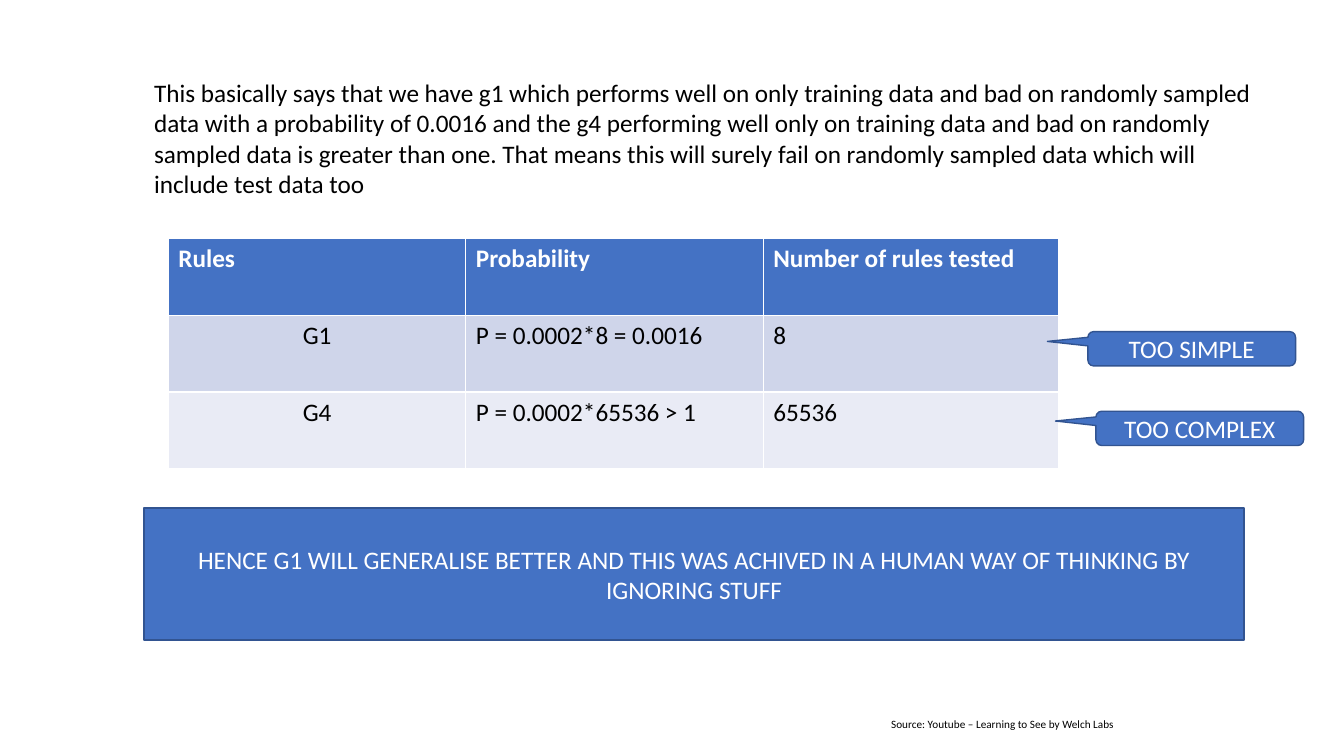
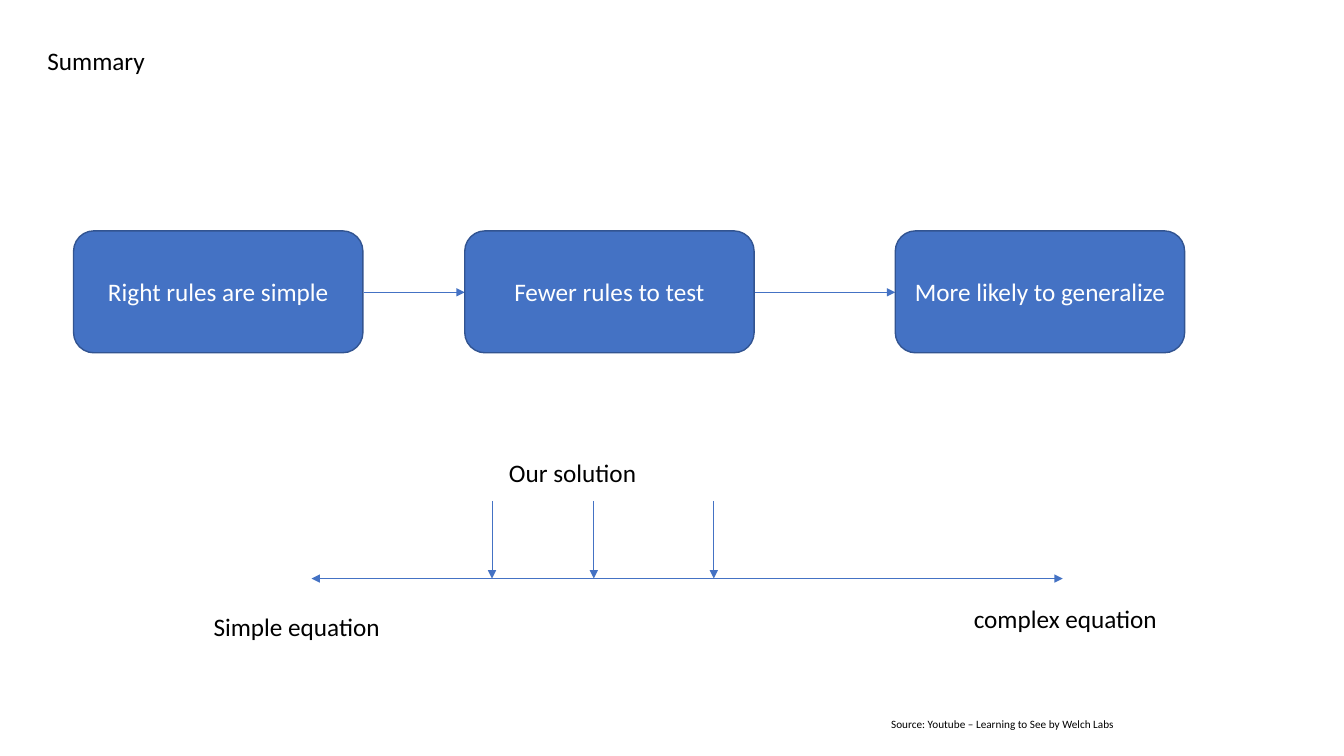
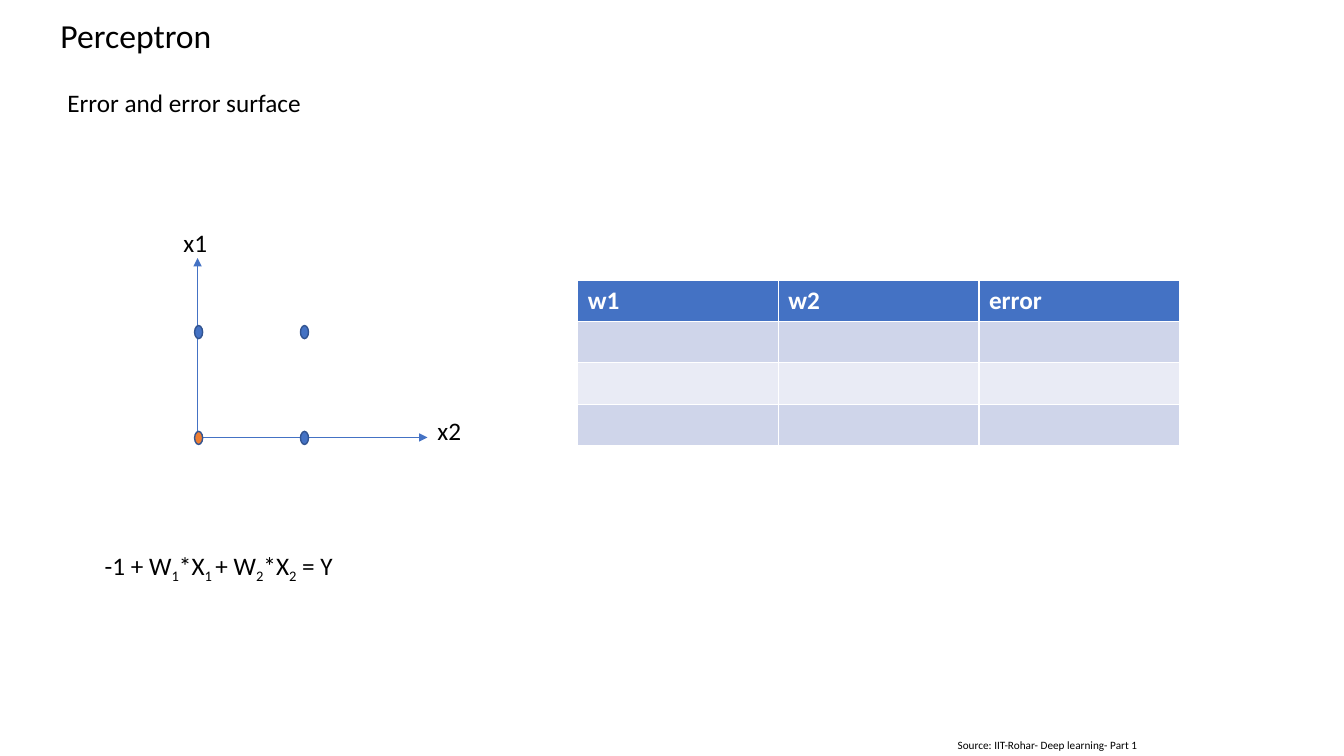
from pptx import Presentation
from pptx.dml.color import RGBColor
from pptx.enum.shapes import MSO_CONNECTOR, MSO_SHAPE
from pptx.enum.text import MSO_ANCHOR, MSO_AUTO_SIZE, PP_ALIGN
from pptx.oxml.ns import qn
from pptx.util import Inches, Pt
from lxml.etree import SubElement

BLUE = RGBColor(0x44, 0x72, 0xC4)
DARK_BLUE = RGBColor(0x32, 0x54, 0x91)
ORANGE = RGBColor(0xED, 0x7D, 0x31)
ROW_FILLS = [RGBColor(0xE9, 0xEB, 0xF5), RGBColor(0xCF, 0xD5, 0xEA)]
WHITE = RGBColor(0xFF, 0xFF, 0xFF)
BLACK = RGBColor(0x00, 0x00, 0x00)

FONT = "Calibri"
FRAME_FORMAT = {"word_wrap": True, "auto_size": MSO_AUTO_SIZE.NONE}
FONT_FORMAT = {"name": FONT, "size": Pt(18), "bold": False}


def write(frame, runs, color=BLACK, alignment=PP_ALIGN.LEFT, anchor=MSO_ANCHOR.TOP, **font_changes):
    for name, value in {**FRAME_FORMAT, "vertical_anchor": anchor}.items():
        setattr(frame, name, value)
    paragraph = frame.paragraphs[0]
    paragraph.alignment = alignment
    for position, text in enumerate(runs):
        run = paragraph.add_run()
        run.text = text
        for name, value in {**FONT_FORMAT, **font_changes}.items():
            setattr(run.font, name, value)
        run.font.color.rgb = color
        if position % 2:
            run._r.get_or_add_rPr().set("baseline", "-25000")


presentation = Presentation()
presentation.slide_width = Inches(13.33)
presentation.slide_height = Inches(7.5)
title_only, blank = presentation.slide_layouts[5], presentation.slide_layouts[6]
rules_slide = presentation.slides.add_slide(blank)
summary_slide = presentation.slides.add_slide(title_only)
perceptron_slide = presentation.slides.add_slide(title_only)

titles = [
    (summary_slide, "Summary", (0.37, 0.4, 5.15, 0.4), 18, 1),
    (perceptron_slide, "Perceptron", (0.5, 0.1, 10.81, 0.55), 24, 0.9),
]
for slide, text, box, size, line_spacing in titles:
    title = slide.shapes.title
    title.left, title.top, title.width, title.height = map(Inches, box)
    write(title.text_frame, [text], anchor=MSO_ANCHOR.MIDDLE, size=Pt(size))
    title.text_frame.paragraphs[0].line_spacing = line_spacing

video_source = "Source: Youtube – Learning to See by Welch Labs"
course_source = "Source: IIT-Rohar- Deep learning- Part 1"
explanation = (
    "This basically says that we have g1 which performs well on only training data and bad on "
    "randomly sampled data with a probability of 0.0016 and the g4 performing well only on training "
    "data and bad on randomly sampled data is greater than one. That means this will surely fail on "
    "randomly sampled data which will include test data too"
)
equation = ["-1 + W", "1", "*X", "1 ", "+ W", "2", "*X", "2", " = Y"]
texts = [
    (rules_slide, [video_source], (8.74, 7.07, 4.92, 0.24), 8),
    (rules_slide, [explanation], (1.43, 0.72, 11.24, 1.31), 18),
    (summary_slide, [video_source], (8.74, 7.07, 4.92, 0.24), 8),
    (summary_slide, ["Simple equation"], (2.02, 6.02, 2.04, 0.4), 18),
    (summary_slide, ["complex equation"], (9.56, 5.94, 2.04, 0.4), 18),
    (summary_slide, ["Our solution"], (4.95, 4.49, 2.04, 0.4), 18),
    (perceptron_slide, [course_source], (9.4, 7.28, 3.75, 0.24), 8),
    (perceptron_slide, ["Error and error surface"], (0.57, 0.82, 4.28, 0.4), 18),
    (perceptron_slide, ["x1"], (1.72, 2.21, 0.48, 0.4), 18),
    (perceptron_slide, ["x2"], (4.24, 4.07, 0.48, 0.4), 18),
    (perceptron_slide, equation, (0.94, 5.41, 3.9, 0.4), 18),
]
for slide, runs, box, size in texts:
    textbox = slide.shapes.add_textbox(*map(Inches, box))
    write(textbox.text_frame, runs, size=Pt(size))

rules_rows = [
    ["Rules", "Probability", "Number of rules tested"],
    ["G1", "P = 0.0002*8 = 0.0016", "8"],
    ["G4", "P = 0.0002*65536 > 1", "65536"],
]
error_rows = [["w1", "w2", "error"]] + [[""] * 3] * 3
tables = [
    (rules_slide, rules_rows, (1.67, 2.37), (2.95, 2.95, 2.93), 0.76),
    (perceptron_slide, error_rows, (5.73, 2.78), (1.99, 1.99, 1.99), 0.41),
]
for slide, rows, corner, widths, row_height in tables:
    size = sum(widths), row_height * len(rows)
    table = slide.shapes.add_table(len(rows), len(widths), *map(Inches, corner + size)).table
    for column, width in zip(table.columns, widths):
        column.width = Inches(width)
    for row_number, row in enumerate(rows):
        table.rows[row_number].height = Inches(row_height)
        is_header = row_number == 0
        for column_number, text in enumerate(row):
            cell = table.cell(row_number, column_number)
            cell.fill.solid()
            cell.fill.fore_color.rgb = BLUE if is_header else ROW_FILLS[row_number % 2]
            is_rule = column_number == 0 and not is_header
            write(
                cell.text_frame,
                [text] if text else [],
                WHITE if is_header else BLACK,
                PP_ALIGN.CENTER if is_rule else PP_ALIGN.LEFT,
                bold=is_header,
            )

axis_y = 5.74
origin = (1.96, 4.34)
arrows = [
    (summary_slide, (3.61, 2.9), (4.61, 2.9)),
    (summary_slide, (7.48, 2.9), (8.88, 2.9)),
    (summary_slide, (6.67, axis_y), (10.54, axis_y)),
    (summary_slide, (6.67, axis_y), (3.09, axis_y)),
    *[(summary_slide, (x, 4.97), (x, axis_y)) for x in (4.88, 5.89, 7.08)],
    (perceptron_slide, origin, (1.96, 2.56)),
    (perceptron_slide, origin, (4.24, 4.34)),
]
for slide, start, end in arrows:
    arrow = slide.shapes.add_connector(MSO_CONNECTOR.STRAIGHT, *map(Inches, start + end))
    arrow.line.color.rgb = BLUE
    arrow.line.width = Pt(0.5)
    SubElement(arrow.line._get_or_add_ln(), qn("a:tailEnd"), type="triangle")
    SubElement(arrow._element.spPr, qn("a:effectLst"))

conclusion = "HENCE G1 WILL GENERALISE BETTER AND THIS WAS ACHIVED IN A HUMAN WAY OF THINKING BY IGNORING STUFF"
callout = MSO_SHAPE.ROUNDED_RECTANGULAR_CALLOUT
pointer = (-0.695, -0.213, 0.167)
steps = [(0.73, "Right rules are simple"), (4.61, "Fewer rules to test"), (8.88, "More likely to generalize")]
points = [(1.93, 3.23, BLUE), (2.98, 3.23, BLUE), (2.98, 4.28, BLUE), (1.93, 4.28, ORANGE)]
shapes = [
    (rules_slide, MSO_SHAPE.RECTANGLE, (1.43, 5.04, 10.91, 1.31), BLUE, conclusion, ()),
    (rules_slide, callout, (10.79, 3.29, 2.06, 0.34), BLUE, "TOO SIMPLE", pointer),
    (rules_slide, callout, (10.87, 4.08, 2.06, 0.34), BLUE, "TOO COMPLEX", pointer),
    *[
        (summary_slide, MSO_SHAPE.ROUNDED_RECTANGLE, (left, 2.29, 2.87, 1.21), BLUE, text, ())
        for left, text in steps
    ],
    *[
        (perceptron_slide, MSO_SHAPE.OVAL, (left, top, 0.08, 0.13), fill, "", ())
        for left, top, fill in points
    ],
]
for slide, kind, box, fill, text, adjustments in shapes:
    shape = slide.shapes.add_shape(kind, *map(Inches, box))
    shape.shadow.inherit = False
    shape.fill.solid()
    shape.fill.fore_color.rgb = fill
    shape.line.color.rgb = DARK_BLUE
    shape.line.width = Pt(1)
    for position, value in enumerate(adjustments):
        shape.adjustments[position] = value
    if text:
        write(shape.text_frame, [text], WHITE, PP_ALIGN.CENTER, MSO_ANCHOR.MIDDLE)

presentation.save("out.pptx")
